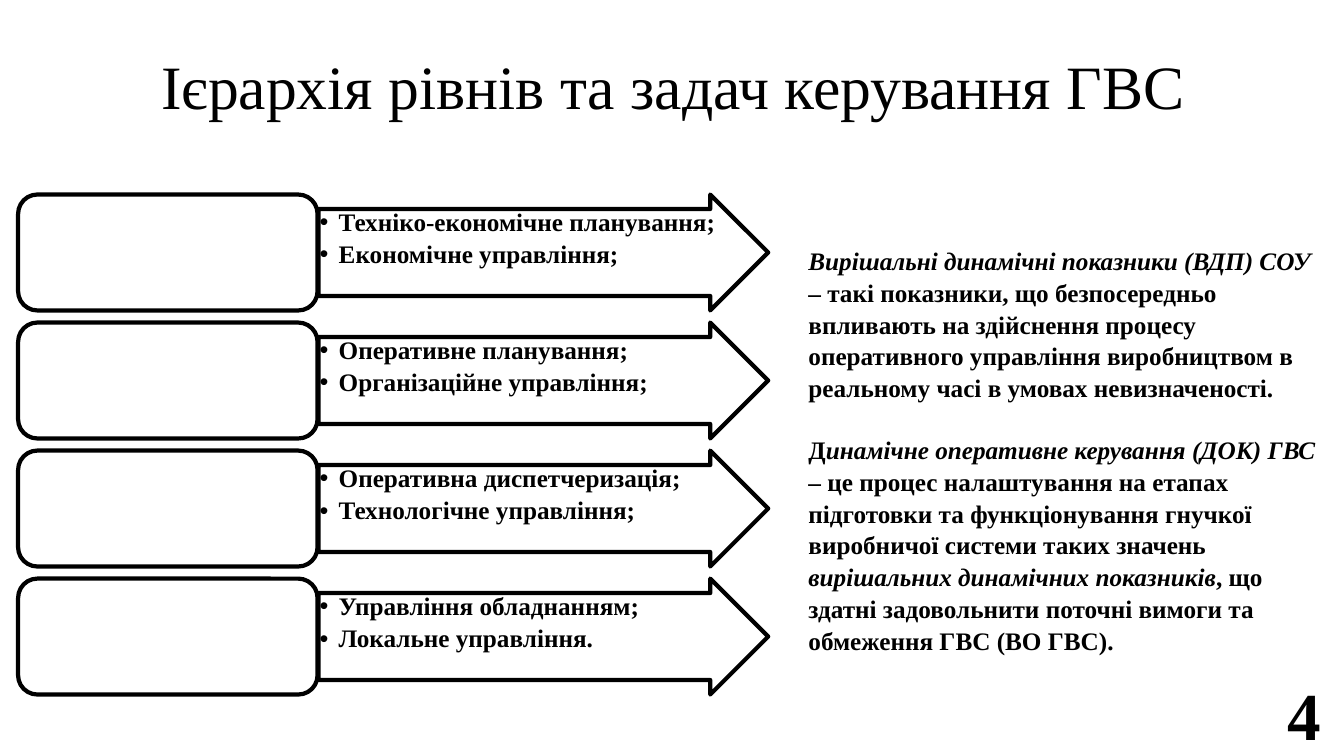
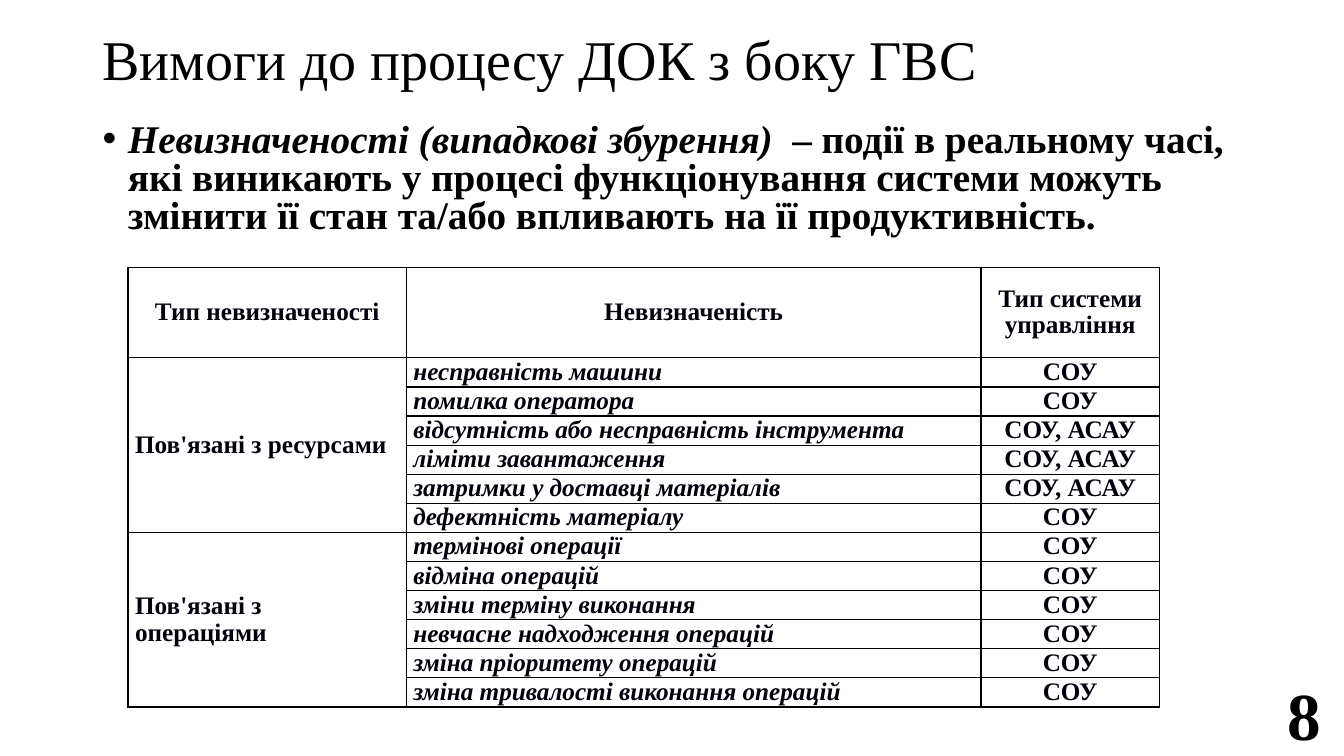
import pptx
import pptx.dml.color
import pptx.enum.shapes
import pptx.enum.text
import pptx.oxml
import pptx.oxml.ns
import pptx.util
from pptx.util import Inches

BLACK = pptx.dml.color.RGBColor(0x00, 0x00, 0x00)
WHITE = pptx.dml.color.RGBColor(0xFF, 0xFF, 0xFF)
TABLE_INK = pptx.dml.color.RGBColor(0x00, 0x00, 0x0A)
ALIGN = pptx.enum.text.PP_ALIGN
ANCHOR = pptx.enum.text.MSO_ANCHOR
SHAPE = pptx.enum.shapes.MSO_SHAPE


class Deck:
    """Holds the shared style and the slide being built."""

    font = "Times New Roman"

    def __init__(self):
        self.presentation = pptx.Presentation()
        self.presentation.slide_width = Inches(13.33)
        self.presentation.slide_height = Inches(7.5)
        self.slide = None

    def start_slide(self, title, box, size, number):
        self.slide = self.presentation.slides.add_slide(self.presentation.slide_layouts[6])
        self.text(box, [[(title, "")]], size, anchor=ANCHOR.MIDDLE, spacing=0.9)
        self.text((12.65, 6.88, 0.55, 0.4), [[(number, "b")]], 48,
                  anchor=ANCHOR.MIDDLE, align=ALIGN.RIGHT)

    def add_runs(self, paragraph, runs, size, color=BLACK, align=ALIGN.LEFT, spacing=1.0):
        """Fill a paragraph with (text, style) runs; style letters are b and i."""
        paragraph.alignment = align
        paragraph.line_spacing = spacing
        for words, style in runs:
            for index, line in enumerate(words.split("\n")):
                if index:
                    paragraph.add_line_break()
                run = paragraph.add_run()
                run.text = line
                run.font.name = self.font
                run.font.size = pptx.util.Pt(size)
                run.font.bold = "b" in style
                run.font.italic = "i" in style
                run.font.color.rgb = color

    def text(self, box, paragraphs, size, anchor=ANCHOR.TOP, inset=None,
             bullet_indent=None, before=0, after=0, **style):
        frame = self.slide.shapes.add_textbox(*map(Inches, box)).text_frame
        frame.word_wrap = True
        frame.vertical_anchor = anchor
        if inset is not None:
            frame.margin_left = frame.margin_right = Inches(inset)
            frame.margin_top = frame.margin_bottom = Inches(inset)
        for index, runs in enumerate(paragraphs):
            paragraph = frame.add_paragraph() if index else frame.paragraphs[0]
            self.add_runs(paragraph, runs, size, **style)
            paragraph.space_before = pptx.util.Pt(before if index else 0)
            paragraph.space_after = pptx.util.Pt(after)
            if bullet_indent:
                self.bullet(paragraph, bullet_indent)

    def bullet(self, paragraph, indent):
        properties = paragraph._p.get_or_add_pPr()
        properties.set("marL", str(Inches(indent)))
        properties.set("indent", str(-Inches(indent)))
        properties.append(pptx.oxml.parse_xml(
            f'<a:buFont {pptx.oxml.ns.nsdecls("a")} typeface="Arial"/>'))
        properties.append(pptx.oxml.parse_xml(
            f'<a:buChar {pptx.oxml.ns.nsdecls("a")} char="•"/>'))

    def outline(self, kind, box, adjustments=()):
        shape = self.slide.shapes.add_shape(kind, *map(Inches, box))
        shape.shadow.inherit = False
        shape.fill.solid()
        shape.fill.fore_color.rgb = WHITE
        shape.line.color.rgb = BLACK
        shape.line.width = pptx.util.Pt(3)
        for index, value in enumerate(adjustments):
            shape.adjustments[index] = value

    def cell(self, cell, words, style="b", align=ALIGN.LEFT):
        cell.margin_left = cell.margin_right = Inches(0.07)
        cell.margin_top = cell.margin_bottom = 0
        cell.vertical_anchor = ANCHOR.MIDDLE
        properties = cell._tc.get_or_add_tcPr()
        for side in "LRTB":
            properties.append(pptx.oxml.parse_xml(
                f'<a:ln{side} {pptx.oxml.ns.nsdecls("a")} w="{pptx.util.Pt(1)}">'
                f'<a:solidFill><a:srgbClr val="{BLACK}"/></a:solidFill></a:ln{side}>'))
        cell.fill.solid()
        cell.fill.fore_color.rgb = WHITE
        self.add_runs(cell.text_frame.paragraphs[0], [(words, style)], 18,
                      color=TABLE_INK, align=align, spacing=0.96)

    def grouped_table(self, left, top, widths, heights, headings, groups):
        """Draw a table whose first column merges the rows of each group."""
        row_count = 1 + sum(len(rows) for _, rows in groups)
        head_height, row_height = heights
        table = self.slide.shapes.add_table(
            row_count, len(widths), Inches(left), Inches(top), Inches(sum(widths)),
            Inches(head_height + row_height * (row_count - 1))).table
        table.first_row = table.horz_banding = False
        for column, width in zip(table.columns, widths):
            column.width = Inches(width)
        for index, row in enumerate(table.rows):
            row.height = Inches(row_height if index else head_height)
        for column, heading in enumerate(headings):
            self.cell(table.cell(0, column), heading, align=ALIGN.CENTER)
        first = 1
        for group, rows in groups:
            for row, (uncertainty, system) in enumerate(rows, first):
                self.cell(table.cell(row, 0), group if row == first else "")
                self.cell(table.cell(row, 1), uncertainty, "bi")
                self.cell(table.cell(row, 2), system, align=ALIGN.CENTER)
            last = first + len(rows) - 1
            table.cell(first, 0).merge(table.cell(last, 0))
            first = last + 1


LEVELS = [
    ("Техніко-економічне планування;", "Економічне управління;"),
    ("Оперативне планування;", "Організаційне управління;"),
    ("Оперативна диспетчеризація;", "Технологічне управління;"),
    ("Управління обладнанням;", "Локальне управління."),
]

DEFINITIONS = [
    [("Вирішальні динамічні показники (ВДП) СОУ", "bi"),
     (" – такі показники, що безпосередньо впливають на здійснення процесу оперативного "
      "управління виробництвом в реальному часі в умовах невизначеності.", "b")],
    [("Д", "b"),
     ("инамічне оперативне керування (ДОК) ГВС", "bi"),
     (" – це процес налаштування на етапах підготовки та функціонування гнучкої "
      "виробничої системи таких значень ", "b"),
     ("вирішальних динамічних показників", "bi"),
     (", що здатні задовольнити поточні вимоги та обмеження ГВС (ВО ГВС).", "b")],
]

UNCERTAINTY = [
    [("Невизначеності (випадкові збурення) ", "bi"),
     (" – події в реальному часі, які виникають у процесі функціонування системи можуть "
      "змінити її стан та/або впливають на її продуктивність.", "b")],
]

HEADINGS = ["Тип невизначеності", "Невизначеність", "Тип системи\nуправління"]

GROUPS = [
    ("Пов'язані з ресурсами", [
        ("несправність машини", "СОУ"),
        ("помилка оператора", "СОУ"),
        ("відсутність або несправність інструмента", "СОУ, АСАУ"),
        ("ліміти завантаження", "СОУ, АСАУ"),
        ("затримки у доставці матеріалів", "СОУ, АСАУ"),
        ("дефектність матеріалу", "СОУ"),
    ]),
    ("Пов'язані з операціями", [
        ("термінові операції", "СОУ"),
        ("відміна операцій", "СОУ"),
        ("зміни терміну виконання", "СОУ"),
        ("невчасне надходження операцій", "СОУ"),
        ("зміна пріоритету операцій", "СОУ"),
        ("зміна тривалості виконання операцій", "СОУ"),
    ]),
]


def build_hierarchy(deck):
    deck.start_slide("Ієрархія рівнів та задач керування ГВС", (1.5, 0.16, 10.4, 1.45), 44, "4")
    first_top, pitch, height = 1.93, 1.27, 1.15
    for index, tasks in enumerate(LEVELS):
        top = first_top + index * pitch
        deck.outline(SHAPE.RIGHT_ARROW, (3.16, top, 4.46, height), (0.75, 0.5))
        deck.text((3.16, top + height / 8, 4.03, height * 0.75),
                  [[(task, "b")] for task in tasks], 18, inset=0.01,
                  bullet_indent=0.19, after=3.5, spacing=0.9)
        deck.outline(SHAPE.ROUNDED_RECTANGLE, (0.18, top, 2.97, height))
    deck.text((7.92, 2.37, 5.27, 4.04), DEFINITIONS, 18, before=21.7, spacing=1.05)


def build_requirements(deck):
    deck.start_slide("Вимоги до процесу ДОК з боку ГВС", (0.92, 0.18, 11.5, 0.88), 40, "8")
    deck.text((0.92, 1.18, 11.5, 1.34), UNCERTAINTY, 28, bullet_indent=0.25, spacing=0.8)
    deck.grouped_table(1.27, 2.65, (2.76, 5.7, 1.77), (0.9, 0.27), HEADINGS, GROUPS)


def main():
    deck = Deck()
    build_hierarchy(deck)
    build_requirements(deck)
    deck.presentation.save("out.pptx")


if __name__ == "__main__":
    main()
